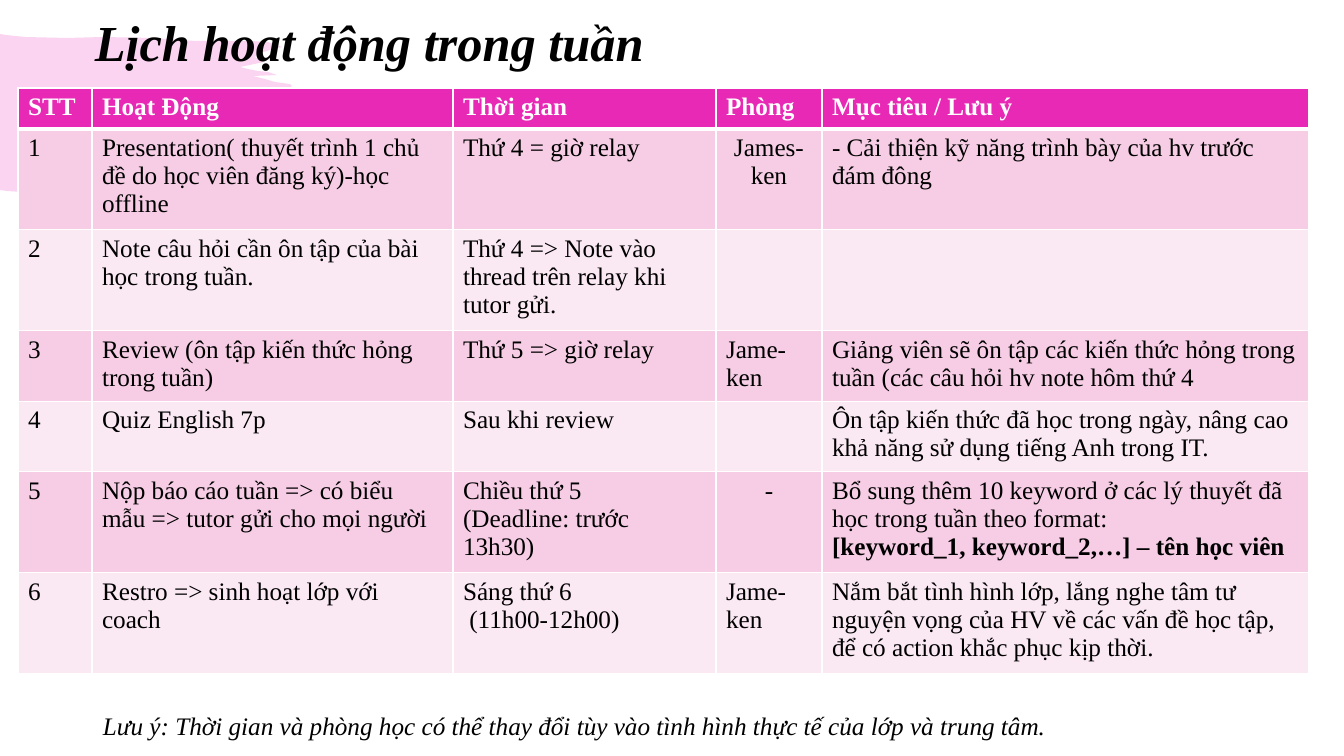
from dataclasses import dataclass

from lxml import etree
from pptx import Presentation
from pptx.dml.color import RGBColor as RGB
from pptx.enum.text import MSO_ANCHOR as Anchor, PP_ALIGN as Align
from pptx.oxml.ns import qn
from pptx.util import Emu, Pt

EMU_PER_PX = 914400 / 100.8


@dataclass(frozen=True)
class Theme:
    font: str = "Times New Roman"
    title_size: int = 36
    body_size: int = 18
    accent: str = "E729B5"
    ink: str = "000000"
    white: str = "FFFFFF"
    bands: tuple = ("F6CDE5", "FAE8F3")
    brush_alpha: int = 20


THEME = Theme()

BRUSH_OUTLINE = [
    (0, 0), (6, 1), (25, 3), (67, 4), (103, 3), (152, 4), (196, 7), (250, 7),
    (268, 8), (282, 13), (273, 15), (257, 20), (255, 23), (258, 25), (264, 28),
    (240, 33), (248, 35), (258, 37), (268, 38), (277, 41), (253, 42), (265, 45),
    (275, 48), (282, 49), (290, 50), (292, 52), (289, 55), (286, 55), (265, 55),
    (297, 60), (333, 61), (324, 64), (321, 73), (309, 78), (302, 80), (285, 83),
    (282, 87), (280, 92), (276, 95), (310, 95), (271, 105), (275, 109),
    (254, 115), (265, 115), (199, 139), (103, 156), (66, 159), (23, 158),
    (7, 157), (0, 156),
]

COLUMN_WIDTHS = [74, 361, 263, 106, 487]
ROW_HEIGHTS = [41, 94, 94, 66, 66, 94, 94]
CENTRED_CELLS = {(1, 3), (5, 3)}
# In a cell, \n starts a paragraph; \v breaks a line, and what follows is bold.
SCHEDULE = [
    ["STT", "Hoạt Động", "Thời gian", "Phòng", "Mục tiêu / Lưu ý"],
    ["1", "Presentation( thuyết trình 1 chủ đề do học viên đăng ký)-học offline",
     "Thứ 4 = giờ relay", "James-ken",
     "- Cải thiện kỹ năng trình bày của hv trước đám đông"],
    ["2", "Note câu hỏi cần ôn tập của bài học trong tuần.",
     "Thứ 4 => Note vào thread trên relay khi tutor gửi.", "", ""],
    ["3", "Review (ôn tập kiến thức hỏng trong tuần)",
     "Thứ 5 => giờ relay", "Jame-ken",
     "Giảng viên sẽ ôn tập các kiến thức hỏng trong tuần "
     "(các câu hỏi hv note hôm thứ 4"],
    ["4", "Quiz English 7p", "Sau khi review", "",
     "Ôn tập kiến thức đã học trong ngày, nâng cao khả năng sử dụng "
     "tiếng Anh trong IT."],
    ["5", "Nộp báo cáo tuần => có biểu mẫu => tutor gửi cho mọi người",
     "Chiều thứ 5\n(Deadline: trước 13h30)", "-",
     "Bổ sung thêm 10 keyword ở các lý thuyết đã học trong tuần theo format:"
     "\v[keyword_1, keyword_2,…] – tên học viên"],
    ["6", "Restro => sinh hoạt lớp với coach",
     "Sáng thứ 6\n (11h00-12h00)", "Jame-ken",
     "Nắm bắt tình hình lớp, lắng nghe tâm tư nguyện vọng của HV về các "
     "vấn đề học tập, để có action khắc phục kịp thời."],
]


def px(length):
    return Emu(round(length * EMU_PER_PX))


def style_font(font, size, color, bold=False, italic=False):
    font.name = THEME.font
    font.size = Pt(size)
    font.color.rgb = RGB.from_string(color)
    font.bold = bold
    font.italic = italic


def add_brush(slide, left, top):
    """Draw the translucent paint stroke at the slide's left edge."""
    points = [(left + x, top + y) for x, y in BRUSH_OUTLINE]
    builder = slide.shapes.build_freeform(*points[0], scale=EMU_PER_PX)
    builder.add_line_segments(points[1:], close=True)
    brush = builder.convert_to_shape()
    brush.shadow.inherit = False
    brush.line.fill.background()
    brush.fill.solid()
    brush.fill.fore_color.rgb = RGB.from_string(THEME.accent)
    color = brush.fill._xPr.find(qn("a:solidFill"))[0]
    etree.SubElement(color, qn("a:alpha"), val=str(THEME.brush_alpha * 1000))


def add_text_line(slide, box, text, size, bold=False):
    frame = slide.shapes.add_textbox(*map(px, box)).text_frame
    frame.word_wrap = True
    frame.vertical_anchor = Anchor.MIDDLE
    frame.text = text
    para = frame.paragraphs[0]
    para.line_spacing = 0.9 if bold else 1.0
    style_font(para.runs[0].font, size, THEME.ink, bold, italic=True)


def add_borders(cell, row):
    """Rule the cell in white, with a thicker line under the header row."""
    widths = {"L": 1, "R": 1, "T": 3 if row == 1 else 1, "B": 3 if row == 0 else 1}
    properties = cell._tc.get_or_add_tcPr()
    for side, width in widths.items():
        line = etree.SubElement(properties, qn(f"a:ln{side}"), w=str(Pt(width)))
        fill = etree.SubElement(line, qn("a:solidFill"))
        etree.SubElement(fill, qn("a:srgbClr"), val=THEME.white)


def fill_cell(cell, text, row, column):
    header = row == 0
    add_borders(cell, row)
    cell.fill.solid()
    background = THEME.accent if header else THEME.bands[(row - 1) % 2]
    cell.fill.fore_color.rgb = RGB.from_string(background)
    cell.text_frame.text = text
    color = THEME.white if header else THEME.ink
    for para in cell.text_frame.paragraphs:
        para.alignment = Align.CENTER if (row, column) in CENTRED_CELLS else Align.LEFT
        for index, span in enumerate(para.runs):
            style_font(span.font, THEME.body_size, color, bold=header or index > 0)


def add_schedule(slide, left, top):
    size = (sum(COLUMN_WIDTHS), sum(ROW_HEIGHTS))
    table = slide.shapes.add_table(
        len(SCHEDULE), len(COLUMN_WIDTHS), *map(px, (left, top, *size))).table
    for column, width in zip(table.columns, COLUMN_WIDTHS):
        column.width = px(width)
    for row, height in zip(table.rows, ROW_HEIGHTS):
        row.height = px(height)
    for row, texts in enumerate(SCHEDULE):
        for column, text in enumerate(texts):
            fill_cell(table.cell(row, column), text, row, column)


def build_schedule_slide(deck):
    slide = deck.slides.add_slide(deck.slide_layouts[6])
    add_brush(slide, 0, 34)
    add_text_line(slide, (85, 15, 1159, 61), "Lịch hoạt động trong tuần",
                  THEME.title_size, bold=True)
    add_schedule(slide, 18, 88)
    add_text_line(slide, (93, 705, 1143, 40),
                  "Lưu ý: Thời gian và phòng học có thể thay đổi tùy vào "
                  "tình hình thực tế của lớp và trung tâm.", THEME.body_size)


def main():
    deck = Presentation()
    deck.slide_width, deck.slide_height = px(1344), px(756)
    build_schedule_slide(deck)
    deck.save("out.pptx")


if __name__ == "__main__":
    main()
